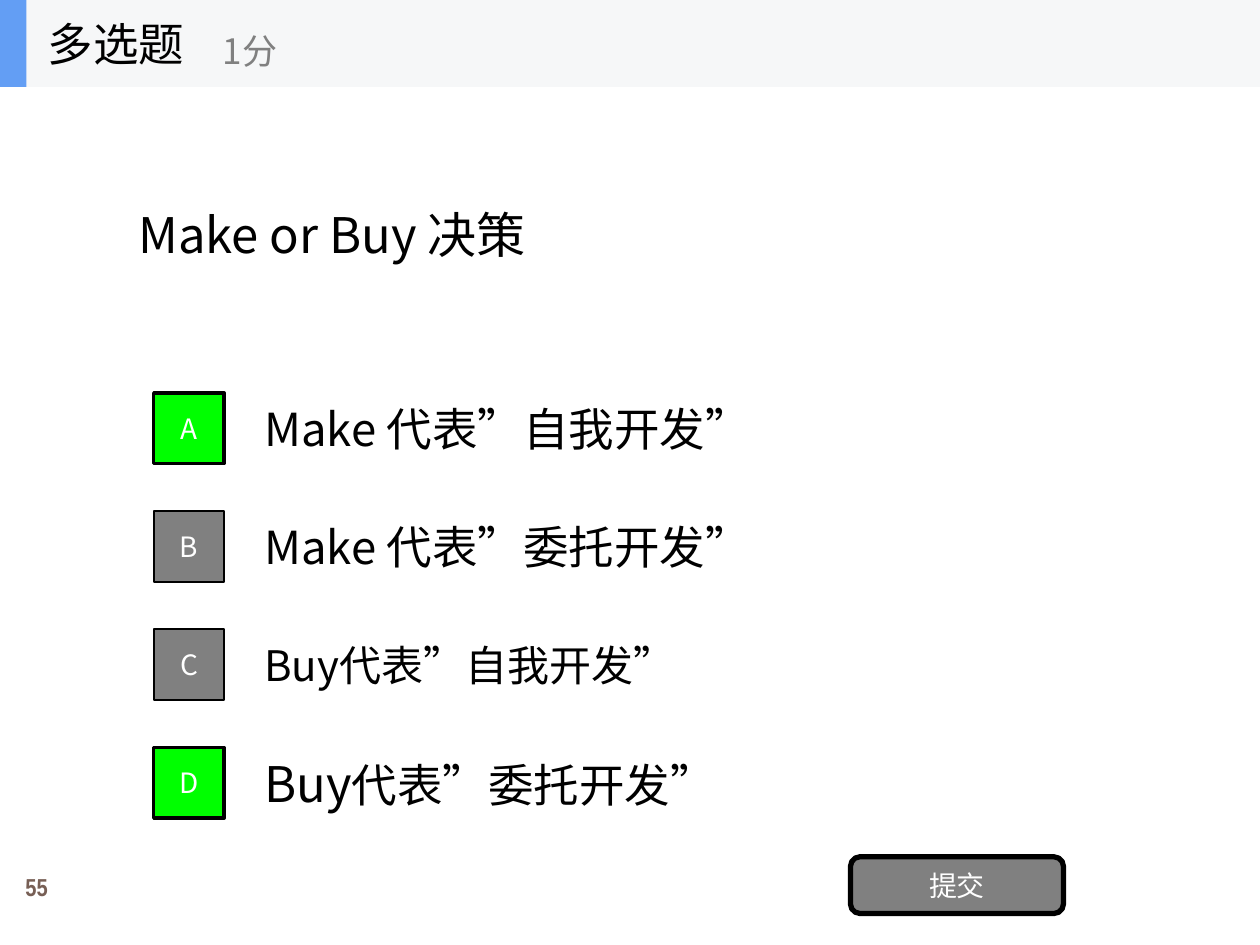
from lxml import etree
from pptx import Presentation
from pptx.dml.color import RGBColor
from pptx.enum.shapes import MSO_SHAPE
from pptx.enum.text import MSO_ANCHOR, MSO_AUTO_SIZE, PP_ALIGN
from pptx.oxml.ns import qn
from pptx.util import Inches, Pt

RECTANGLE, ROUNDED = MSO_SHAPE.RECTANGLE, MSO_SHAPE.ROUNDED_RECTANGLE
LEFT, CENTER = PP_ALIGN.LEFT, PP_ALIGN.CENTER
MIDDLE = MSO_ANCHOR.MIDDLE
NO_AUTOFIT = MSO_AUTO_SIZE.NONE
TITLE_ONLY = 5

COLORS = {
    "text": "000000",
    "white": "FFFFFF",
    "gray": "808080",
    "correct": "00FF00",
    "band": "F6F7F8",
    "accent": "639EF4",
    "number": "775F55",
}


class QuizSlide:
    """Style and slide; lengths are columns and rows of a 10 by 7.5 grid."""

    columns, rows = 10, 7.5
    font = "Noto Sans CJK SC"

    def __init__(self, presentation):
        self.column = presentation.slide_width / self.columns
        self.row = presentation.slide_height / self.rows
        self.slide = presentation.slides.add_slide(
            presentation.slide_layouts[TITLE_ONLY])

    def area(self, left, top, width, height):
        return (round(left * self.column), round(top * self.row),
                round(width * self.column), round(height * self.row))

    def set_text(self, shape, runs, size, color, align=LEFT, font=None, bold=False):
        """Fill a shape with one paragraph of (text, own size or None) runs."""
        frame = shape.text_frame
        frame.auto_size = NO_AUTOFIT
        frame.word_wrap = True
        frame.vertical_anchor = MIDDLE
        paragraph = frame.paragraphs[0]
        paragraph.alignment = align
        for text, own_size in runs:
            run = paragraph.add_run()
            run.text = text
            if own_size:
                run.font.size = Pt(own_size)
        style = paragraph.font
        style.size, style.bold = Pt(size), bold
        style.color.rgb = RGBColor.from_string(COLORS[color])
        style.name = font or self.font
        properties = paragraph._p.pPr.find(qn("a:defRPr"))
        east_asian = etree.SubElement(properties, qn("a:ea"))
        east_asian.set("typeface", style.name)

    def title(self, area, text, size):
        shape = self.slide.shapes.title
        shape.left, shape.top, shape.width, shape.height = self.area(*area)
        self.set_text(shape, [(text, None)], size, "text")

    def label(self, area, runs, size, color="text", **style):
        shape = self.slide.shapes.add_textbox(*self.area(*area))
        self.set_text(shape, runs, size, color, **style)

    def box(self, area, fill, kind=RECTANGLE, line=0, text=None):
        shape = self.slide.shapes.add_shape(kind, *self.area(*area))
        shape.shadow.inherit = False
        shape.fill.solid()
        shape.fill.fore_color.rgb = RGBColor.from_string(COLORS[fill])
        if line:
            shape.line.color.rgb = RGBColor.from_string(COLORS["text"])
            shape.line.width = Pt(line)
        else:
            shape.line.fill.background()
        if text:
            self.set_text(shape, [(text, None)], 16, "white", align=CENTER)

    def option(self, top, letter, runs, size, correct):
        self.label((2, top, 7, 0.7), runs, size)
        self.box((1.22, top + 0.07, 0.56, 0.56), "correct" if correct else "gray",
                 line=2 if correct else 1, text=letter)


def main():
    presentation = Presentation()
    presentation.slide_width, presentation.slide_height = Inches(10), Inches(7.5)
    quiz = QuizSlide(presentation)

    # Page number and question
    quiz.label((0, 6.83, 0.58, 0.42), [("55", None)], 14, "number",
               align=CENTER, font="Arial Narrow", bold=True)
    quiz.title((1, 0.69, 8, 2.34), "Make or Buy 决策", 28)

    # Answer options, one every eighth of the slide height
    options = [
        ("A", [("Make 代表”自我开发”", None)], 26, True),
        ("B", [("Make 代表”委托开发”", None)], 26, False),
        ("C", [("Buy代表”自我开发”", None)], 24, False),
        ("D", [("Buy", 28), ("代表”委托开发”", None)], 26, True),
    ]
    for index, option in enumerate(options):
        quiz.option(3.05 + index * quiz.rows / 8, *option)

    # Submit button
    quiz.box((6.75, 6.8, 1.69, 0.45), "gray", ROUNDED, line=3, text="提交")

    # Header band with question type and score
    quiz.box((0, 0, quiz.columns, 0.69), "band")
    quiz.box((0, 0, 0.21, 0.69), "accent")
    quiz.label((0.28, 0, 2.08, 0.69), [("多选题", None)], 26)
    quiz.label((1.67, 0.12, 2.5, 0.56), [("1分", None)], 20, "gray")

    presentation.save("out.pptx")


if __name__ == "__main__":
    main()
